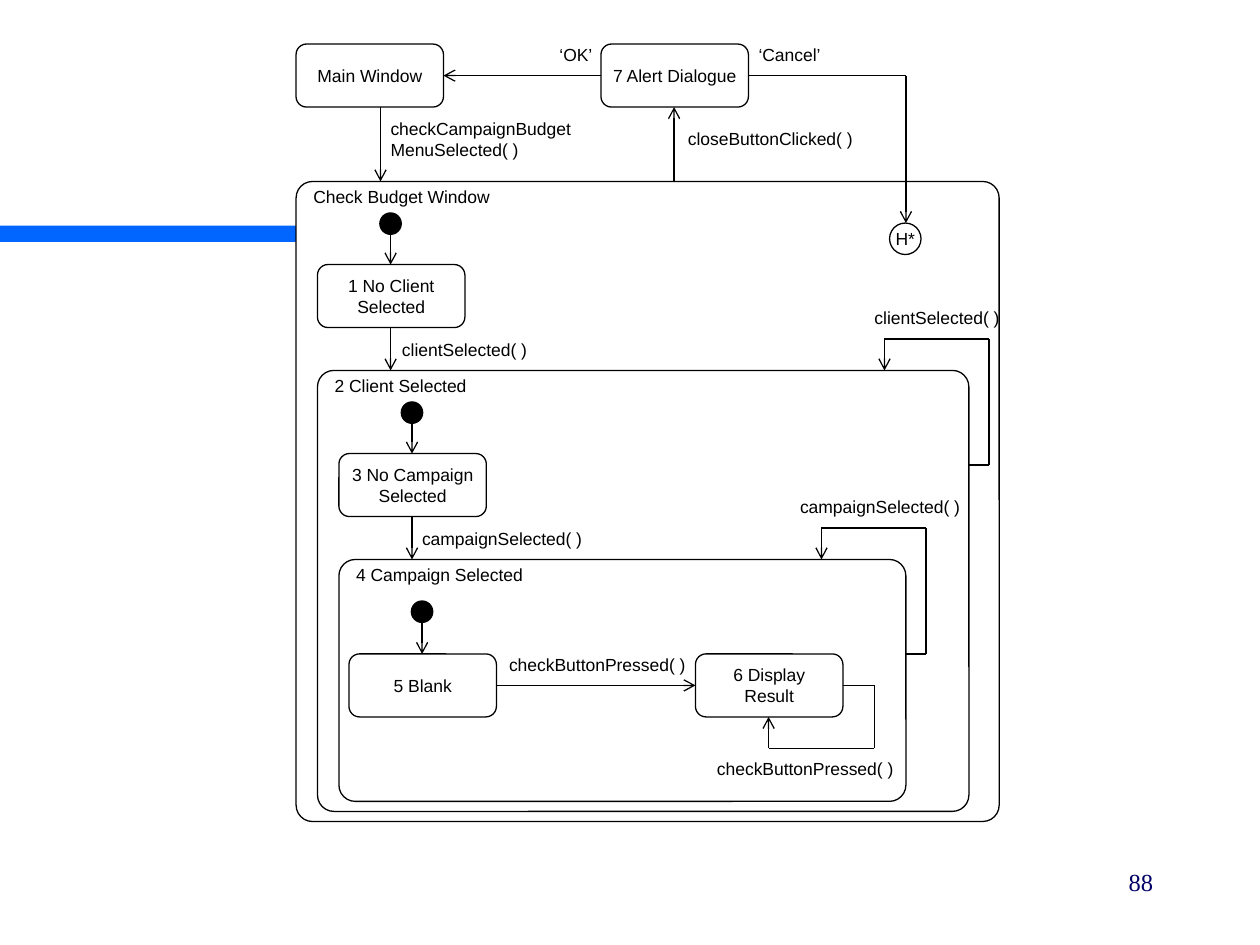
from itertools import pairwise

from lxml import etree
from pptx import Presentation
from pptx.dml.color import RGBColor
from pptx.enum import shapes, text
from pptx.oxml import ns
from pptx.util import Inches, Pt

BLACK = RGBColor(0x00, 0x00, 0x00)
WHITE = RGBColor(0xFF, 0xFF, 0xFF)
BLUE = RGBColor(0x00, 0x66, 0xFF)
NAVY = RGBColor(0x00, 0x00, 0x66)

STATE_WIDTH, STATE_HEIGHT = 1.17, 0.5
CORNER = 0.13
DOT = 0.17

COMPOSITE_STATES = [
    ("Check Budget Window", 2.35, 1.44, 5.58, 5.08),
    ("2 Client Selected", 2.52, 2.94, 5.17, 3.5),
    ("4 Campaign Selected", 2.69, 4.44, 4.5, 1.92),
]
STATES = [
    ("Main Window", 2.35, 0.35),
    ("7 Alert Dialogue", 4.77, 0.35),
    ("1 No Client\nSelected", 2.52, 2.1),
    ("3 No Campaign\nSelected", 2.69, 3.6),
    ("5 Blank", 2.77, 5.19),
    ("6 Display\nResult", 5.52, 5.19),
]
INITIAL_STATES = [(3.1, 1.69, 2.1), (3.27, 3.19, 3.6), (3.35, 4.77, 5.19)]
TRANSITIONS = [
    [(3.02, 0.85), (3.02, 1.44)],
    [(4.77, 0.6), (3.52, 0.6)],
    [(5.35, 1.44), (5.35, 0.85)],
    [(5.94, 0.6), (7.19, 0.6), (7.19, 1.77)],
    [(3.1, 2.6), (3.1, 2.94)],
    [(3.27, 4.1), (3.27, 4.44)],
    [(3.94, 5.44), (5.52, 5.44)],
    [(7.69, 3.69), (7.85, 3.69), (7.85, 2.69), (7.02, 2.69), (7.02, 2.94)],
    [(7.19, 5.19), (7.35, 5.19), (7.35, 4.19), (6.52, 4.19), (6.52, 4.44)],
    [(6.69, 5.44), (6.94, 5.44), (6.94, 5.94), (6.1, 5.94), (6.1, 5.69)],
]
EVENTS = [
    ("checkCampaignBudget\nMenuSelected( )", 3.1, 0.94, 1.53),
    ("‘OK’", 4.44, 0.35, 0.32),
    ("‘Cancel’", 6.02, 0.35, 0.58),
    ("closeButtonClicked( )", 5.46, 1.02, 1.4),
    ("clientSelected( )", 3.19, 2.69, 1.08),
    ("clientSelected( )", 6.94, 2.44, 1.08),
    ("campaignSelected( )", 3.35, 4.19, 1.36),
    ("campaignSelected( )", 6.35, 3.94, 1.36),
    ("checkButtonPressed( )", 4.04, 5.19, 1.48),
    ("checkButtonPressed( )", 5.69, 6.02, 1.48),
]


def write(shape, words, align, anchor, side=0, wrap=True, size=10, font="Arial", color=BLACK):
    frame = shape.text_frame
    frame.text = words
    frame.word_wrap = wrap
    frame.vertical_anchor = anchor
    frame.margin_left = frame.margin_right = Inches(side)
    frame.margin_top = frame.margin_bottom = 0
    for paragraph in frame.paragraphs:
        paragraph.alignment = align
        for run in paragraph.runs:
            run.font.size = Pt(size)
            run.font.name = font
            run.font.color.rgb = color


def add_outlined(slide, kind, left, top, width, height, fill=WHITE):
    shape = slide.shapes.add_shape(
        kind, Inches(left), Inches(top), Inches(width), Inches(height))
    shape.shadow.inherit = False
    shape.fill.solid()
    shape.fill.fore_color.rgb = fill
    shape.line.color.rgb = BLACK
    shape.line.width = Pt(0.75)
    return shape


def add_bar(slide):
    bar = add_outlined(slide, shapes.MSO_SHAPE.RECTANGLE, 0, 1.79, 3.66, 0.13, BLUE)
    bar.line.fill.background()


def add_composite_state(slide, name, left, top, width, height):
    shape = add_outlined(
        slide, shapes.MSO_SHAPE.ROUNDED_RECTANGLE, left, top, width, height)
    shape.adjustments[0] = CORNER / min(width, height)
    write(shape, name, text.PP_ALIGN.LEFT, text.MSO_ANCHOR.TOP, side=0.1)


def add_state(slide, name, left, top):
    shape = add_outlined(
        slide, shapes.MSO_SHAPE.ROUNDED_RECTANGLE, left, top, STATE_WIDTH, STATE_HEIGHT)
    write(shape, name, text.PP_ALIGN.CENTER, text.MSO_ANCHOR.MIDDLE)


def add_history(slide):
    shape = add_outlined(slide, shapes.MSO_SHAPE.OVAL, 7.06, 1.77, 0.25, 0.25)
    write(shape, "H*", text.PP_ALIGN.CENTER, text.MSO_ANCHOR.MIDDLE, wrap=False)


def add_transition(slide, points):
    for start, end in pairwise(points):
        line = slide.shapes.add_connector(
            shapes.MSO_CONNECTOR.STRAIGHT, *map(Inches, start + end))
        line.line.color.rgb = BLACK
        line.line.width = Pt(0.75)
        properties = line._element.spPr
        etree.SubElement(properties, ns.qn("a:effectLst"))
        if end == points[-1]:
            etree.SubElement(line.line._get_or_add_ln(), ns.qn("a:tailEnd"), type="arrow")


def add_initial_state(slide, center, top, target):
    add_outlined(slide, shapes.MSO_SHAPE.OVAL, center - DOT / 2, top, DOT, DOT, BLACK)
    add_transition(slide, [(center, top + DOT), (center, target)])


def add_event(slide, words, left, top, width):
    height = 0.17 * len(words.splitlines())
    box = slide.shapes.add_textbox(
        Inches(left), Inches(top), Inches(width), Inches(height))
    write(box, words, text.PP_ALIGN.LEFT, text.MSO_ANCHOR.TOP)


def add_page_number(slide):
    box = slide.shapes.add_textbox(
        Inches(7.17), Inches(6.88), Inches(2.08), Inches(0.45))
    write(box, "88", text.PP_ALIGN.RIGHT, text.MSO_ANCHOR.TOP,
          side=0.1, size=14, font="Times New Roman", color=NAVY)


def main():
    presentation = Presentation()
    presentation.slide_width = Inches(10)
    presentation.slide_height = Inches(7.5)
    slide = presentation.slides.add_slide(presentation.slide_layouts[6])
    add_bar(slide)
    for composite in COMPOSITE_STATES:
        add_composite_state(slide, *composite)
    for state in STATES:
        add_state(slide, *state)
    add_history(slide)
    for initial in INITIAL_STATES:
        add_initial_state(slide, *initial)
    for points in TRANSITIONS:
        add_transition(slide, points)
    for event in EVENTS:
        add_event(slide, *event)
    add_page_number(slide)
    presentation.save("out.pptx")


if __name__ == "__main__":
    main()
